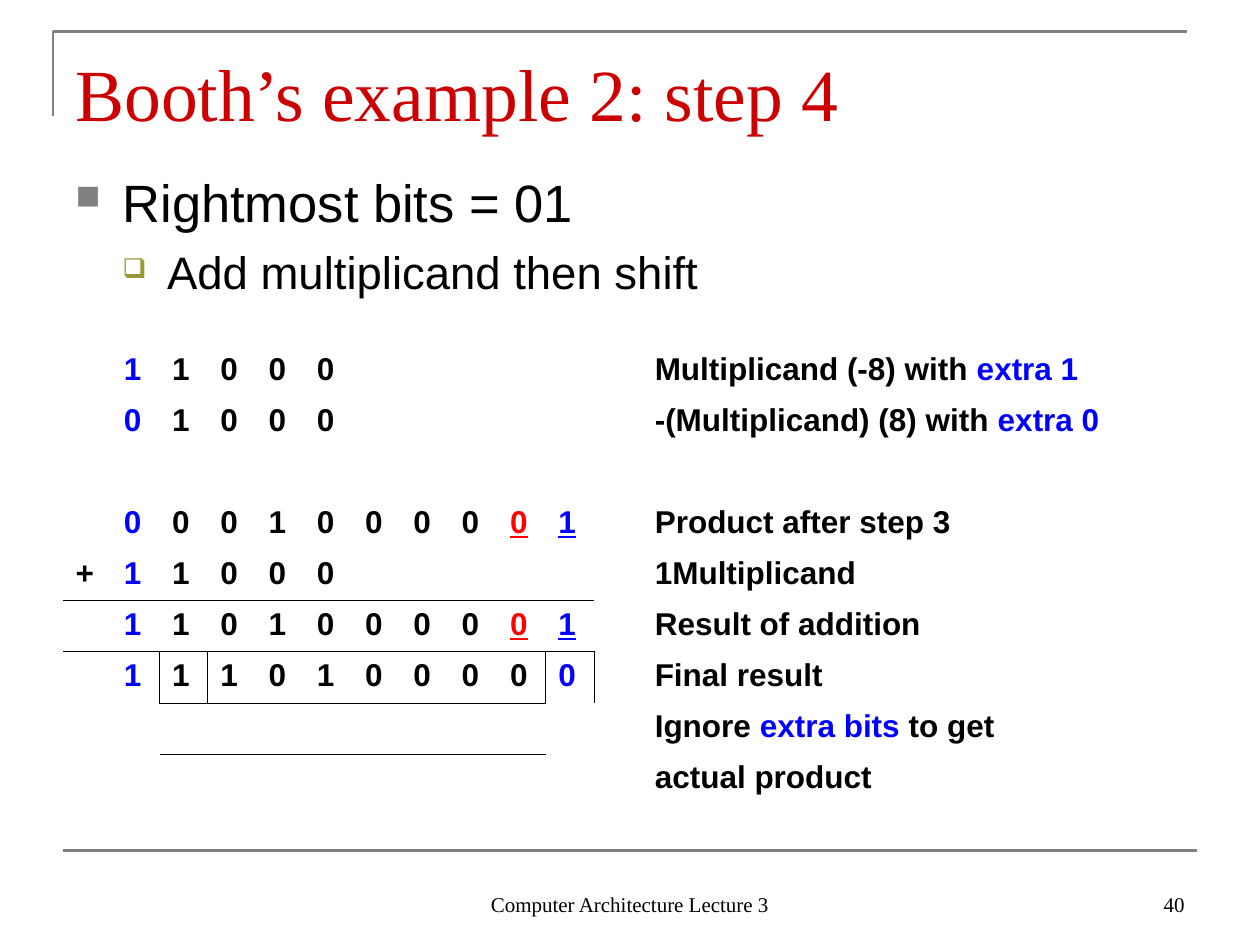
from collections import namedtuple

from lxml.etree import SubElement
from pptx import Presentation
from pptx.dml.color import RGBColor
from pptx.enum.shapes import MSO_CONNECTOR as Connector
from pptx.enum.text import MSO_ANCHOR as Anchor, PP_ALIGN as Align
from pptx.oxml import parse_xml
from pptx.oxml.ns import nsdecls, qn
from pptx.util import Cm, Pt

Box = namedtuple("Box", "left top width height")

SANS, SERIF = "Arial", "Times New Roman"
BLACK, GRAY, BLUE, RED = "000000", "808080", "0000FF", "FF0000"
TITLE_RED, OLIVE = "CC0000", "999933"
NO_GRID_STYLE = "{2D5ABB26-0587-4C30-8999-92F81FD0307C}"

# Bit grid: column 0 holds the sign, 1 to 10 the bits, 12 the note
FIRST_BIT, LAST_BIT, NOTE = 1, 10, 12
SUM_ROW, RESULT_ROW = 4, 6
# Each row: sign, bits, is the examined pair underlined, note spans
ROWS = [
    ("", "11000", False, [("Multiplicand (-8) with ", BLACK), ("extra 1", BLUE)]),
    ("", "01000", False, [("-(Multiplicand) (8) with ", BLACK), ("extra 0", BLUE)]),
    ("", "", False, []),
    ("", "0001000001", True, [("Product after step 3", BLACK)]),
    ("+", "11000", False, [("1Multiplicand", BLACK)]),
    ("", "1101000001", True, [("Result of addition", BLACK)]),
    ("", "1110100000", False, [("Final result", BLACK)]),
    ("", "", False, [("Ignore ", BLACK), ("extra bits ", BLUE), ("to get", BLACK)]),
    ("", "", False, [("actual product", BLACK)]),
]


def color(hex_string):
    return RGBColor.from_string(hex_string)


def add_span(para, text, size=18, font=SANS, fill=BLACK, bold=False, underline=None):
    span = para.add_run()
    span.text = text
    span.font.size = Pt(size)
    span.font.name = font
    span.font.color.rgb = color(fill)
    span.font.bold = bold
    span.font.underline = underline


def add_frame(page, box, anchor, pad):
    frame = page.shapes.add_textbox(*box).text_frame
    frame.word_wrap = True
    frame.vertical_anchor = anchor
    frame.margin_left = frame.margin_right = Cm(0.25)
    frame.margin_top = frame.margin_bottom = pad
    return frame


def add_bullet(para, char, fill, percent, margin, hanging):
    props = para._p.get_or_add_pPr()
    props.set("marL", str(margin))
    props.set("indent", str(-hanging))
    bullet_color = SubElement(props, qn("a:buClr"))
    SubElement(bullet_color, qn("a:srgbClr"), val=fill)
    SubElement(props, qn("a:buSzPct"), val=str(percent * 1000))
    SubElement(props, qn("a:buChar"), char=char)


def style_line(shape):
    shape.line.color.rgb = color(GRAY)
    shape.line.width = Pt(1.5)


def add_frame_lines(page, box):
    # Corner bracket above the title
    left, top = box.left - Cm(0.2), box.top
    builder = page.shapes.build_freeform(left, top + Cm(1.7))
    builder.add_line_segments([(left, top), (left + box.width, top)], close=False)
    bracket = builder.convert_to_shape()
    bracket.fill.background()
    bracket.shadow.inherit = False
    style_line(bracket)
    # Rule above the footer
    bottom = box.top + box.height
    rule = page.shapes.add_connector(
        Connector.STRAIGHT, box.left, bottom, box.left + box.width, bottom)
    SubElement(rule._element.spPr, qn("a:effectLst"))
    style_line(rule)


def add_title(page, box):
    frame = add_frame(page, box, Anchor.BOTTOM, 0)
    add_span(frame.paragraphs[0], "Booth’s example 2: step 4",
             size=42, font=SERIF, fill=TITLE_RED)


def add_body(page, box):
    frame = add_frame(page, box, Anchor.TOP, Cm(0.25))
    para = frame.paragraphs[0]
    add_bullet(para, "■", GRAY, 65, Cm(0.95), Cm(0.95))
    add_span(para, "Rightmost bits = 01", size=30)

    para = frame.add_paragraph()
    para.level = 1
    para.space_before = Pt(6.5)
    add_bullet(para, "❑", OLIVE, 60, Cm(1.85), Cm(0.9))
    add_span(para, "Add multiplicand then shift", size=26)


def add_footer(page, box, text, align):
    frame = add_frame(page, box, Anchor.BOTTOM, Cm(0.13))
    frame.paragraphs[0].alignment = align
    add_span(frame.paragraphs[0], text, size=12, font=SERIF)


def cell_edges(row, col):
    """Sides to draw: the sum line and the frame around the final product."""
    in_sum = col <= LAST_BIT
    in_product = FIRST_BIT < col < LAST_BIT
    result = row == RESULT_ROW
    sides = {
        "L": result and col in (FIRST_BIT + 1, LAST_BIT),
        "R": result and col in (FIRST_BIT, LAST_BIT - 1),
        "T": row == SUM_ROW + 1 and in_sum
             or row in (RESULT_ROW, RESULT_ROW + 1) and in_product,
        "B": row == SUM_ROW and in_sum
             or row in (RESULT_ROW - 1, RESULT_ROW) and in_product,
    }
    return [side for side, drawn in sides.items() if drawn]


def format_cell(cell, edges):
    cell.fill.background()
    props = cell._tc.get_or_add_tcPr()
    for place, side in enumerate(edges):
        props.insert(place, parse_xml(
            f'<a:ln{side} {nsdecls("a")} w="{Pt(0.45)}"><a:solidFill>'
            f'<a:srgbClr val="{BLACK}"/></a:solidFill></a:ln{side}>'))


def add_bit_table(page, box):
    shape = page.shapes.add_table(len(ROWS), NOTE + 1, *box)
    table = shape.table
    table.first_row = table.horz_banding = False
    table._tbl.tblPr.find(qn("a:tableStyleId")).text = NO_GRID_STYLE
    note_width = Cm(10.21)
    for col, column in enumerate(table.columns):
        column.width = note_width if col == NOTE else (box.width - note_width) // NOTE

    for row, (sign, bits, underlined, note) in enumerate(ROWS):
        table.rows[row].height = box.height // len(ROWS)
        for col in range(NOTE + 1):
            format_cell(table.cell(row, col), cell_edges(row, col))
        if sign:
            add_span(table.cell(row, 0).text_frame.paragraphs[0], sign, bold=True)
        for col, bit in enumerate(bits, FIRST_BIT):
            examined = underlined and col >= LAST_BIT - 1
            if col in (FIRST_BIT, LAST_BIT):
                fill = BLUE
            else:
                fill = RED if examined else BLACK
            add_span(table.cell(row, col).text_frame.paragraphs[0], bit,
                     fill=fill, bold=True, underline=examined or None)
        for text, fill in note:
            add_span(table.cell(row, NOTE).text_frame.paragraphs[0], text,
                     fill=fill, bold=True)


def main():
    deck = Presentation()
    deck.slide_width, deck.slide_height = Cm(25.4), Cm(19.05)
    page = deck.slides.add_slide(deck.slide_layouts[6])

    left, width = Cm(1.27), Cm(22.86)
    add_frame_lines(page, Box(left, Cm(0.64), width, Cm(16.51)))
    add_title(page, Box(left, Cm(0.76), width, Cm(1.98)))
    add_body(page, Box(left, Cm(3.18), width, Cm(2.97)))
    add_footer(page, Box(Cm(8.68), Cm(17.35), Cm(8.04), Cm(1.27)),
               "Computer Architecture Lecture 3", Align.CENTER)
    add_footer(page, Box(Cm(18.21), Cm(17.35), Cm(5.92), Cm(1.27)), "40", Align.RIGHT)
    add_bit_table(page, Box(left, Cm(6.96), Cm(21.89), Cm(9.27)))
    deck.save("out.pptx")


if __name__ == "__main__":
    main()
